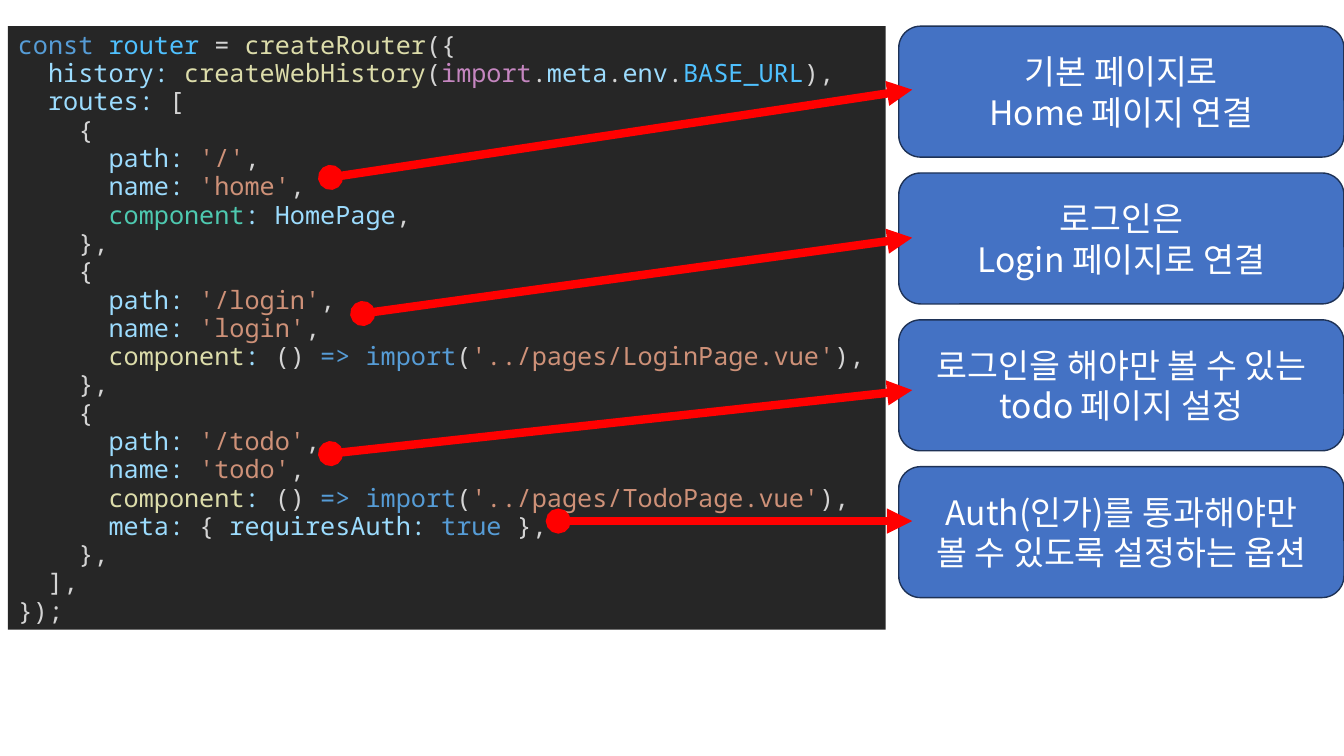
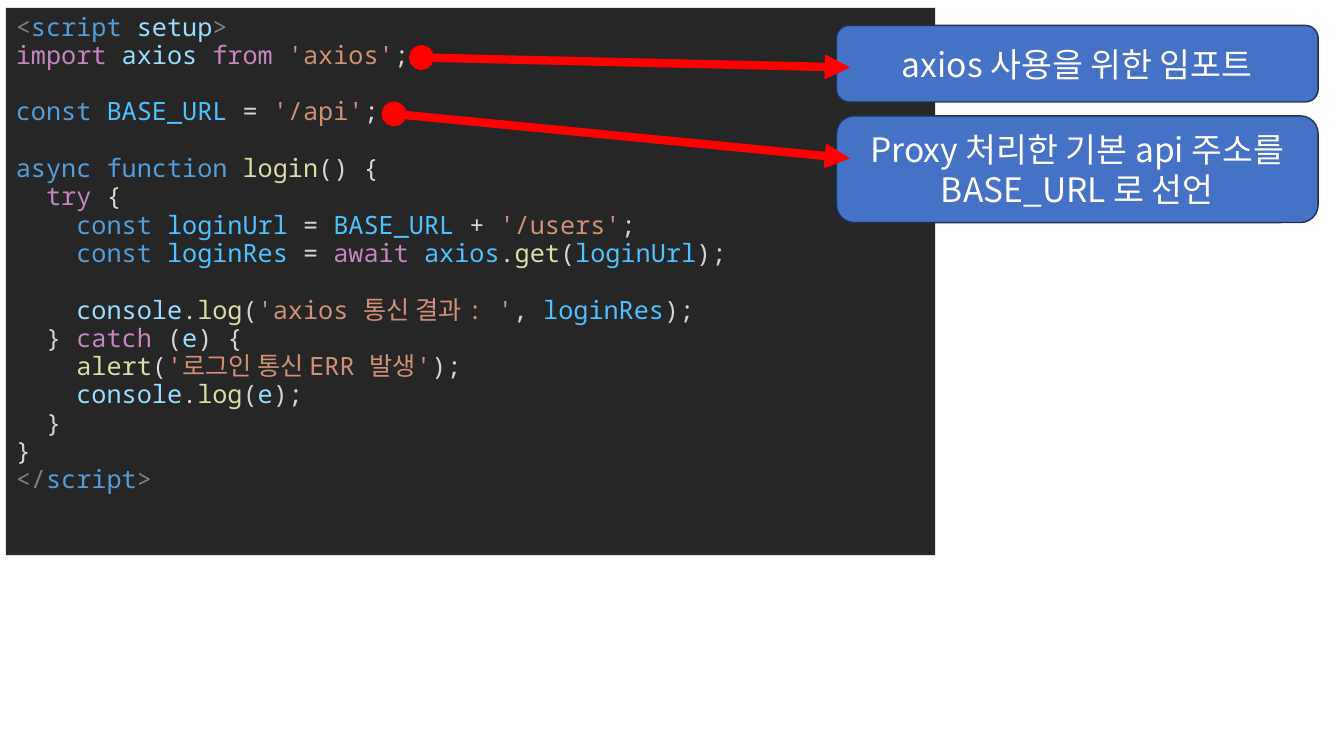
from dataclasses import dataclass
from enum import Enum

from lxml.etree import SubElement
from pptx import Presentation
from pptx.dml.color import RGBColor
from pptx.enum.shapes import MSO_CONNECTOR as Connector, MSO_SHAPE as Preset
from pptx.enum.text import MSO_ANCHOR as Anchor, PP_ALIGN as Align
from pptx.oxml.ns import qn
from pptx.util import Cm, Pt

CODE_FONT = "Noto Sans Mono"
KOREAN_FONT = "Noto Sans CJK KR"
PANEL_FILL = "262626"
CALLOUT_FILL, CALLOUT_LINE = "4472C4", "1E3256"
ARROW_COLOR = "FF0000"
WHITE = "FFFFFF"
LINE_HEIGHT = Pt(20.2)
ARROW_OVERLAP = 0.34  # how far, in cm, an arrow reaches into its callout

CODE_FORMAT = {"name": CODE_FONT, "size": Pt(18)}
CALLOUT_FORMAT = {"name": KOREAN_FONT, "size": Pt(24)}
PANEL_FRAME = {"word_wrap": True, "vertical_anchor": Anchor.TOP}
CALLOUT_FRAME = {"word_wrap": True, "vertical_anchor": Anchor.MIDDLE}


class Ink(Enum):
    PLAIN = "D4D4D4"
    KEYWORD = "569CD6"
    CONSTANT = "4FC1FF"
    FUNCTION = "DCDCAA"
    PROPERTY = "9CDCFE"
    CONTROL = "C586C0"
    STRING = "CE9178"
    TYPE = "4EC9B0"
    TAG = "808080"


Token = tuple[str, Ink]
CodeLine = list[Token]


@dataclass(frozen=True)
class Box:
    """A rectangle in centimetres."""
    left: float
    top: float
    width: float
    height: float


@dataclass(frozen=True)
class Callout:
    lines: tuple[str, ...]
    height: float
    arrow_start: tuple[float, float]
    arrow_end_y: float


@dataclass(frozen=True)
class CodeSlide:
    panel: Box
    code: list[CodeLine]
    callouts_left: float
    callouts_top: float
    callouts_width: float
    callouts_gap: float
    callouts: tuple[Callout, ...]


def plain(text: str) -> Token:
    return text, Ink.PLAIN


def route(name: str, url: str, *details: CodeLine) -> list[CodeLine]:
    """One entry of the routes list, with its braces."""
    fields = [
        [("path: ", Ink.PROPERTY), (f"'{url}'", Ink.STRING), plain(",")],
        [("name: ", Ink.PROPERTY), (f"'{name}'", Ink.STRING), plain(",")],
        *details,
    ]
    indented = [[plain("      "), *field] for field in fields]
    return [[plain("    {")], *indented, [plain("    },")]]


def lazy_component(page: str) -> CodeLine:
    return [("component", Ink.FUNCTION), (":", Ink.PROPERTY), plain(" () "),
            ("=> import", Ink.KEYWORD), plain("("),
            (f"'../pages/{page}.vue'", Ink.STRING), plain("),")]


ROUTER_CODE: list[CodeLine] = [
    [("const ", Ink.KEYWORD), ("router", Ink.CONSTANT), plain(" = "),
     ("createRouter", Ink.FUNCTION), plain("({")],
    [plain("  "), ("history: ", Ink.PROPERTY), ("createWebHistory", Ink.FUNCTION),
     plain("("), ("import", Ink.CONTROL), plain("."), ("meta", Ink.PROPERTY),
     plain("."), ("env", Ink.PROPERTY), plain("."), ("BASE_URL", Ink.CONSTANT),
     plain("),")],
    [plain("  "), ("routes:", Ink.PROPERTY), plain(" [")],
    *route("home", "/", [("component", Ink.TYPE), (": HomePage", Ink.PROPERTY),
                         plain(",")]),
    *route("login", "/login", lazy_component("LoginPage")),
    *route("todo", "/todo", lazy_component("TodoPage"),
           [("meta:", Ink.PROPERTY), plain(" { "), ("requiresAuth: ", Ink.PROPERTY),
            ("true", Ink.KEYWORD), plain(" },")]),
    [plain("  ],")],
    [plain("});")],
]

# An empty list stands for an empty line of code.
LOGIN_CODE: list[CodeLine] = [
    [("<", Ink.TAG), ("script ", Ink.KEYWORD), ("setup", Ink.PROPERTY), (">", Ink.TAG)],
    [("import ", Ink.CONTROL), ("axios ", Ink.PROPERTY), ("from ", Ink.CONTROL),
     ("'axios'", Ink.STRING), plain(";")],
    [],
    [("const ", Ink.KEYWORD), ("BASE_URL", Ink.CONSTANT), plain(" = "),
     ("'/api'", Ink.STRING), plain(";")],
    [],
    [("async function ", Ink.KEYWORD), ("login", Ink.FUNCTION), plain("() {")],
    [plain("  "), ("try", Ink.CONTROL), plain(" {")],
    [plain("    "), ("const ", Ink.KEYWORD), ("loginUrl", Ink.CONSTANT), plain(" = "),
     ("BASE_URL", Ink.CONSTANT), plain(" + "), ("'/users'", Ink.STRING), plain(";")],
    [plain("    "), ("const ", Ink.KEYWORD), ("loginRes", Ink.CONSTANT), plain(" = "),
     ("await ", Ink.CONTROL), ("axios", Ink.CONSTANT), plain("."),
     ("get", Ink.FUNCTION), plain("("), ("loginUrl", Ink.CONSTANT), plain(");")],
    [],
    [plain("    "), ("console", Ink.PROPERTY), plain("."), ("log", Ink.FUNCTION),
     plain("("), ("'axios 통신 결과 : '", Ink.STRING), plain(", "),
     ("loginRes", Ink.CONSTANT), plain(");")],
    [plain("  } "), ("catch", Ink.CONTROL), plain(" ("), ("e", Ink.PROPERTY),
     plain(") {")],
    [plain("    "), ("alert", Ink.FUNCTION), plain("("),
     ("'로그인 통신 ERR 발생'", Ink.STRING), plain(");")],
    [plain("    "), ("console", Ink.PROPERTY), plain("."), ("log", Ink.FUNCTION),
     plain("("), ("e", Ink.PROPERTY), plain(");")],
    [plain("  }")],
    [plain("}")],
    [("</", Ink.TAG), ("script", Ink.KEYWORD), (">", Ink.TAG)],
]

CODE_SLIDES = (
    CodeSlide(
        Box(0.2, 0.66, 22.12, 15.21), ROUTER_CODE, 22.65, 0.66, 11.22, 0.4,
        (
            Callout(("기본 페이지로", "Home 페이지 연결"), 3.3, (8.33, 4.47), 2.26),
            Callout(("로그인은", "Login 페이지로 연결"), 3.3, (9.14, 7.9), 5.99),
            Callout(("로그인을 해야만 볼 수 있는", "todo 페이지 설정"),
                    3.3, (8.33, 11.43), 9.83),
            Callout(("Auth(인가)를 통과해야만", "볼 수 있도록 설정하는 옵션"),
                    3.3, (14.07, 13.13), 13.13),
        ),
    ),
    CodeSlide(
        Box(0.15, 0.2, 23.42, 13.79), LOGIN_CODE, 21.08, 0.64, 12.14, 0.35,
        (
            Callout(("axios 사용을 위한 임포트",), 1.93, (10.62, 1.45), 1.7),
            Callout(("Proxy 처리한 기본 api 주소를", "BASE_URL 로 선언"),
                    2.69, (9.93, 2.87), 3.99),
        ),
    ),
)


def color(value: str) -> RGBColor:
    return RGBColor.from_string(value)


def set_attributes(target, values: dict) -> None:
    for name, value in values.items():
        setattr(target, name, value)


def add_box(slide, preset, box: Box, fill: str, frame_format: dict):
    shape = slide.shapes.add_shape(
        preset, Cm(box.left), Cm(box.top), Cm(box.width), Cm(box.height))
    shape.shadow.inherit = False
    shape.fill.solid()
    shape.fill.fore_color.rgb = color(fill)
    set_attributes(shape.text_frame, frame_format)
    return shape


def add_run(paragraph, text: str, text_color: str, font_format: dict) -> None:
    run = paragraph.add_run()
    run.text = text
    set_attributes(run.font, font_format)
    run.font.color.rgb = color(text_color)
    SubElement(run._r.get_or_add_rPr(), qn("a:ea"), typeface=KOREAN_FONT)


def next_paragraph(text_frame, index: int):
    return text_frame.add_paragraph() if index else text_frame.paragraphs[0]


def add_code_panel(slide, box: Box, code: list[CodeLine]) -> None:
    panel = add_box(slide, Preset.RECTANGLE, box, PANEL_FILL, PANEL_FRAME)
    panel.line.fill.background()
    for index, tokens in enumerate(code):
        if not tokens:
            continue
        paragraph = next_paragraph(panel.text_frame, index)
        after_empty_line = index > 0 and not code[index - 1]
        set_attributes(paragraph, {
            "alignment": Align.LEFT,
            "line_spacing": LINE_HEIGHT,
            "space_before": LINE_HEIGHT if after_empty_line else Pt(0),
        })
        for text, ink in tokens:
            add_run(paragraph, text, ink.value, CODE_FORMAT)


def add_callout(slide, box: Box, lines: tuple[str, ...]) -> None:
    callout = add_box(slide, Preset.ROUNDED_RECTANGLE, box, CALLOUT_FILL, CALLOUT_FRAME)
    callout.line.color.rgb = color(CALLOUT_LINE)
    callout.line.width = Pt(1)
    for index, line in enumerate(lines):
        paragraph = next_paragraph(callout.text_frame, index)
        paragraph.alignment = Align.CENTER
        add_run(paragraph, line, WHITE, CALLOUT_FORMAT)


def add_arrow(slide, start: tuple[float, float], end: tuple[float, float]) -> None:
    """Draw a thick arrow with a dot at its start."""
    arrow = slide.shapes.add_connector(
        Connector.STRAIGHT, *(Cm(length) for length in start + end))
    arrow.line.color.rgb = color(ARROW_COLOR)
    arrow.line.width = Pt(6)
    properties = arrow.element.spPr
    outline = properties.find(qn("a:ln"))
    SubElement(outline, qn("a:headEnd"), type="oval")
    SubElement(outline, qn("a:tailEnd"), type="triangle")
    SubElement(properties, qn("a:effectLst"))


def add_code_slide(presentation, content: CodeSlide) -> None:
    slide = presentation.slides.add_slide(presentation.slide_layouts[6])
    add_code_panel(slide, content.panel, content.code)
    left, top = content.callouts_left, content.callouts_top
    for callout in content.callouts:
        box = Box(left, top, content.callouts_width, callout.height)
        add_callout(slide, box, callout.lines)
        add_arrow(slide, callout.arrow_start, (left + ARROW_OVERLAP, callout.arrow_end_y))
        top += callout.height + content.callouts_gap


def main() -> None:
    presentation = Presentation()
    presentation.slide_width, presentation.slide_height = Cm(33.87), Cm(19.05)
    for content in CODE_SLIDES:
        add_code_slide(presentation, content)
    presentation.save("out.pptx")


if __name__ == "__main__":
    main()
